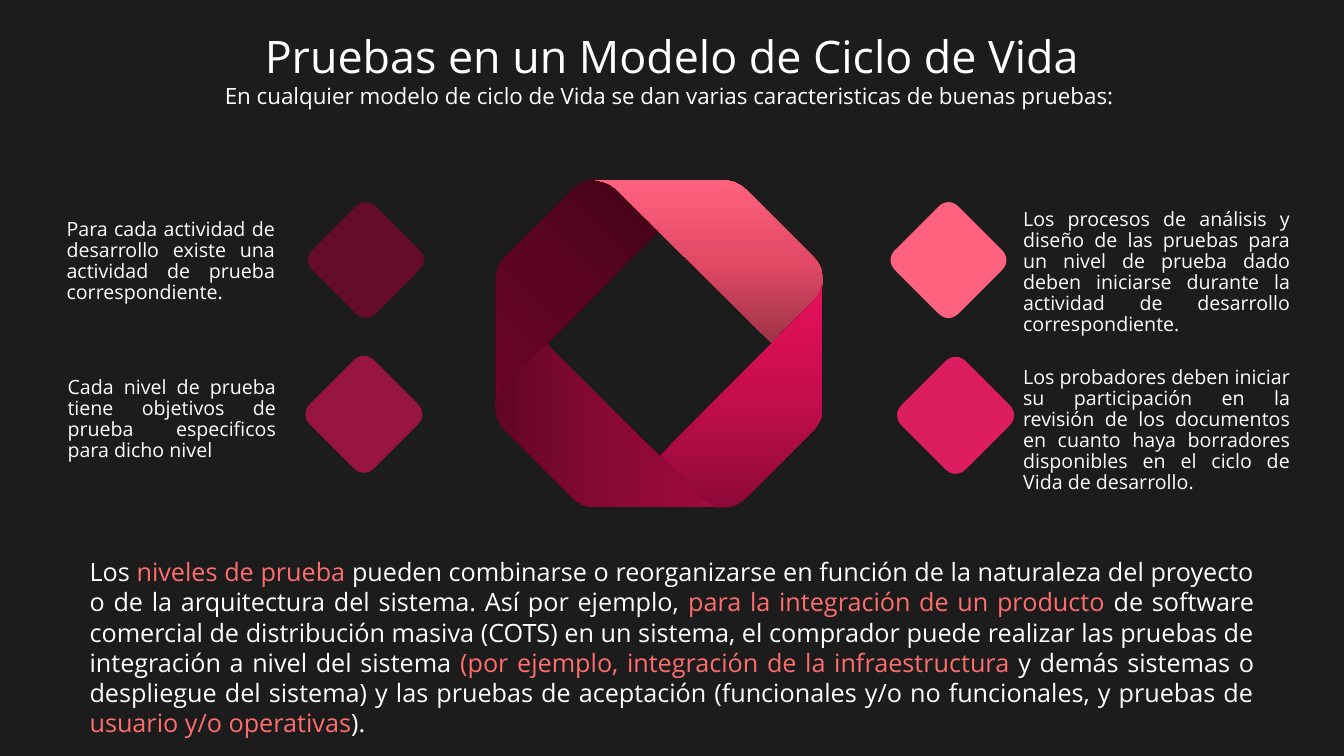
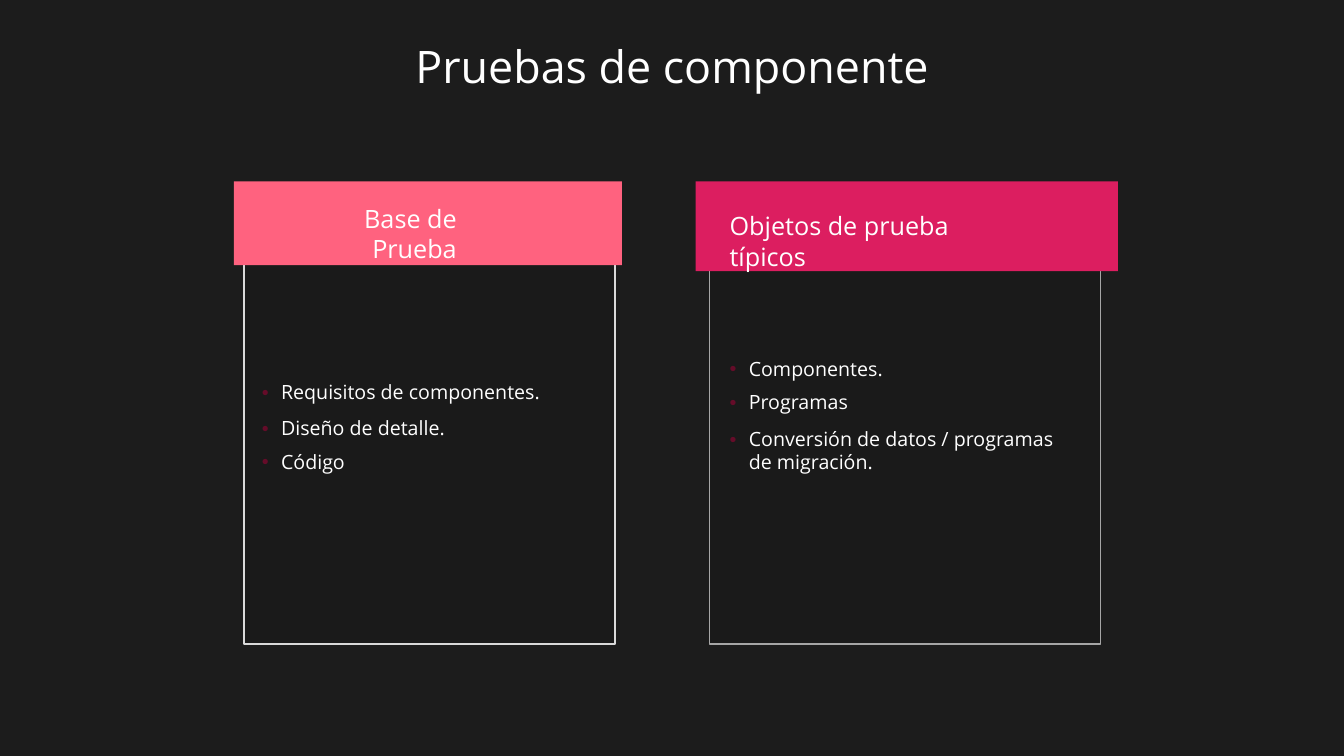
import pptx
import pptx.dml.color
import pptx.enum.shapes
import pptx.enum.text
import pptx.oxml
import pptx.oxml.ns
import pptx.util
from lxml import etree

Inches = pptx.util.Inches
Pt = pptx.util.Pt
RGBColor = pptx.dml.color.RGBColor
ALIGN = pptx.enum.text.PP_ALIGN
qn = pptx.oxml.ns.qn

FONT = "Open Sans"
BACKGROUND = RGBColor(0x1C, 0x1C, 0x1C)
WHITE = RGBColor(0xFF, 0xFF, 0xFF)
CORAL = RGBColor(0xFF, 0x6D, 0x6D)
WINE = RGBColor(0x65, 0x0C, 0x29)
BERRY = RGBColor(0x98, 0x14, 0x41)
PINK = RGBColor(0xFF, 0x62, 0x7F)
MAGENTA = RGBColor(0xDC, 0x1E, 0x60)
PANEL = RGBColor(0x0E, 0x0E, 0x0E)
LIGHT_GRAY = RGBColor(0xD9, 0xD9, 0xD9)
GRAY = RGBColor(0xA6, 0xA6, 0xA6)

PLAIN_INSETS = (0.1, 0.05, 0.1, 0.05)
NOTE_INSETS = (0.27, 0.05, 0.27, 0.07)
BULLET_INDENT = Inches(0.19)

LIFECYCLE_TITLE = "Pruebas en un Modelo de Ciclo de Vida"
LIFECYCLE_SUBTITLE = "En cualquier modelo de ciclo de Vida se dan varias caracteristicas de buenas pruebas: "
COMPONENT_TITLE = "Pruebas de componente"

RING_CENTER = (6.54, 3.41)
BAND_OUTLINE = [
    [(-0.4, -1.53), (-0.53, -1.66), (-0.73, -1.66), (-0.86, -1.53)],
    [(-1.52, -0.87), (-1.58, -0.81), (-1.62, -0.73), (-1.62, -0.64)],
    [(-1.62, 0.64), (-1.62, 0.55), (-1.58, 0.47), (-1.52, 0.41)],
    [(0, -1.12)],
]
BANDS = [
    (("400317", "5B0421", "6C0527"), 225),
    (("9E3347", "E14965", "FF627F"), 90),
    (("8B0936", "C50D4D", "EA105C"), 90),
    (("600625", "880934", "A20A3E"), 0),
]

DIAMOND_CORNER = [(0.1, 0.53), (0.04, 0.59), (-0.04, 0.59), (-0.1, 0.53)]
DIAMONDS = [
    ((3.63, 2.58), WINE, False),
    ((3.61, 4.11), BERRY, True),
    ((9.41, 2.58), PINK, False),
    ((9.48, 4.12), MAGENTA, True),
]
NOTES = [
    ((0.39, 2.13, 2.61, 0.96),
     "Para cada actividad de desarrollo existe una actividad de prueba correspondiente."),
    ((0.4, 3.7, 2.61, 0.96),
     "Cada nivel de prueba tiene objetivos de prueba especificos para dicho nivel "),
    ((9.88, 2.03, 3.19, 1.17),
     "Los procesos de análisis y diseño de las pruebas para un nivel de prueba dado "
     "deben iniciarse durante la actividad de desarrollo correspondiente. "),
    ((9.88, 3.6, 3.19, 1.38),
     "Los probadores deben iniciar su participación en la revisión de los documentos "
     "en cuanto haya borradores disponibles en el ciclo de Vida de desarrollo. "),
]
SUMMARY = [
    ("Los ", WHITE),
    ("niveles de prueba ", CORAL),
    ("pueden combinarse o reorganizarse en función de la naturaleza del proyecto o de la "
     "arquitectura del sistema. Así por ejemplo, ", WHITE),
    ("para la integración de un producto ", CORAL),
    ("de software comercial de distribución masiva (COTS) en un sistema, el comprador puede "
     "realizar las pruebas de integración a nivel del sistema ", WHITE),
    ("(por ejemplo, integración de la infraestructura ", CORAL),
    ("y demás sistemas o despliegue del sistema) y las pruebas de aceptación (funcionales y/o "
     "no funcionales, y pruebas de ", WHITE),
    ("usuario y/o operativas", CORAL),
    ("). ", WHITE),
]

CARDS = [
    {
        "panel": (2.42, 2.44, 3.68, 3.95), "border": LIGHT_GRAY,
        "header": (2.32, 1.8, 3.85, 0.83), "color": PINK,
        "label": "Base de Prueba", "label_box": (2.72, 1.97, 1.91, 0.4), "align": ALIGN.RIGHT,
        "lists": [
            ((2.5, 3.74, 3.36, 0.32), ["Requisitos de componentes."]),
            ((2.5, 4.1, 2.7, 0.66), ["Diseño de detalle.", "Código"]),
        ],
    },
    {
        "panel": (7.04, 2.62, 3.88, 3.77), "border": GRAY,
        "header": (6.9, 1.8, 4.19, 0.89), "color": MAGENTA,
        "label": "Objetos de prueba típicos", "label_box": (7.14, 2.04, 3.07, 0.4), "align": ALIGN.LEFT,
        "lists": [
            ((7.14, 3.51, 2.7, 0.66), ["Componentes.", "Programas"]),
            ((7.14, 4.21, 3.45, 0.54), ["Conversión de datos / programas de migración."]),
        ],
    },
]


def add_text(slide, box, paragraphs, size, align=ALIGN.LEFT, spacing=1.0, insets=PLAIN_INSETS):
    frame = slide.shapes.add_textbox(*map(Inches, box)).text_frame
    frame.word_wrap = True
    frame.margin_left, frame.margin_top, frame.margin_right, frame.margin_bottom = map(Inches, insets)
    for index, runs in enumerate(paragraphs):
        paragraph = frame.add_paragraph() if index else frame.paragraphs[0]
        paragraph.alignment = align
        paragraph.line_spacing = spacing
        for text, color in runs:
            run = paragraph.add_run()
            run.text = text
            run.font.name = FONT
            run.font.size = Pt(size)
            run.font.color.rgb = color
    return frame


def add_title(slide, text, top):
    add_text(slide, (0.92, top, 11.5, 0.7), [[(text, WHITE)]], 32, ALIGN.CENTER, 0.9)


def add_bullets(slide, box, items):
    frame = add_text(slide, box, [[(item, WHITE)] for item in items], 14, spacing=0.94)
    for paragraph in frame.paragraphs:
        paragraph.space_after = Pt(8)
        properties = paragraph._p.get_or_add_pPr()
        properties.set("marL", str(BULLET_INDENT))
        properties.set("indent", str(-BULLET_INDENT))
        bullet_color = etree.SubElement(properties, qn("a:buClr"))
        etree.SubElement(bullet_color, qn("a:srgbClr"), val=str(WINE))
        etree.SubElement(properties, qn("a:buFont"), typeface="Arial")
        etree.SubElement(properties, qn("a:buChar"), char="•")


def add_rectangle(slide, box, color):
    shape = slide.shapes.add_shape(pptx.enum.shapes.MSO_SHAPE.RECTANGLE, *map(Inches, box))
    shape.shadow.inherit = False
    shape.fill.solid()
    shape.fill.fore_color.rgb = color
    shape.line.fill.background()
    return shape


def rotate(points, quarter_turns):
    for _ in range(quarter_turns):
        points = [(-y, x) for x, y in points]
    return points


def bend_corners(shape, pieces):
    outline = shape._element.spPr.find(".//" + qn("a:pathLst"))[0]
    segments = list(outline)
    start = 0
    for piece in pieces:
        if len(piece) == 4:
            curve = etree.Element(qn("a:cubicBezTo"))
            segments[start + 1].addprevious(curve)
            for segment in segments[start + 1:start + 4]:
                curve.append(segment[0])
                outline.remove(segment)
        start += len(piece)


def add_outline(slide, center, pieces):
    points = [
        (Inches(center[0] + x), Inches(center[1] + y))
        for piece in pieces for x, y in piece
    ]
    builder = slide.shapes.build_freeform(*points[0])
    builder.add_line_segments(points[1:], close=True)
    shape = builder.convert_to_shape()
    bend_corners(shape, pieces)
    shape.shadow.inherit = False
    shape.line.fill.background()
    return shape


def fill_gradient(shape, colors, angle):
    shape.fill.gradient()
    shape.fill.gradient_angle = angle
    stops = shape._element.spPr.find(".//" + qn("a:gsLst"))
    for stop in list(stops):
        stops.remove(stop)
    for position, color in zip((0, 50000, 100000), colors):
        stop = etree.SubElement(stops, qn("a:gs"), pos=str(position))
        etree.SubElement(stop, qn("a:srgbClr"), val=color)


def build_lifecycle(slide):
    add_title(slide, LIFECYCLE_TITLE, 0.3)
    add_text(slide, (0.92, 0.8, 11.5, 0.44), [[(LIFECYCLE_SUBTITLE, WHITE)]], 16, ALIGN.CENTER, 0.86)
    for turns, (colors, angle) in enumerate(BANDS):
        band = add_outline(slide, RING_CENTER, [rotate(piece, turns) for piece in BAND_OUTLINE])
        fill_gradient(band, colors, angle)
    for center, color, outlined in DIAMONDS:
        diamond = add_outline(slide, center, [rotate(DIAMOND_CORNER, turns) for turns in range(4)])
        diamond.fill.solid()
        diamond.fill.fore_color.rgb = color
        if outlined:
            diamond.line.color.rgb = color
            diamond.line.width = Pt(0.75)
    for box, text in NOTES:
        add_text(slide, box, [[(text, WHITE)]], 14, ALIGN.JUSTIFY, 0.89, NOTE_INSETS)
    add_text(slide, (0.79, 5.47, 11.75, 1.62), [SUMMARY], 18, ALIGN.JUSTIFY)


def build_components(slide):
    add_title(slide, COMPONENT_TITLE, 0.4)
    for card in CARDS:
        panel = add_rectangle(slide, card["panel"], PANEL)
        panel_color = panel._element.spPr.find(qn("a:solidFill")).find(qn("a:srgbClr"))
        etree.SubElement(panel_color, qn("a:alpha"), val="10000")
        panel.line.color.rgb = card["border"]
        panel.line.width = Pt(1)
        add_rectangle(slide, card["header"], card["color"])
        add_text(slide, card["label_box"], [[(card["label"], WHITE)]], 18, card["align"])
        for box, items in card["lists"]:
            add_bullets(slide, box, items)


def main():
    presentation = pptx.Presentation()
    presentation.slide_width = Inches(40) // 3
    presentation.slide_height = Inches(7.5)
    background = presentation.slide_master.background.fill
    background.solid()
    background.fore_color.rgb = BACKGROUND
    for build in (build_lifecycle, build_components):
        build(presentation.slides.add_slide(presentation.slide_layouts[6]))
    presentation.save("out.pptx")


if __name__ == "__main__":
    main()
